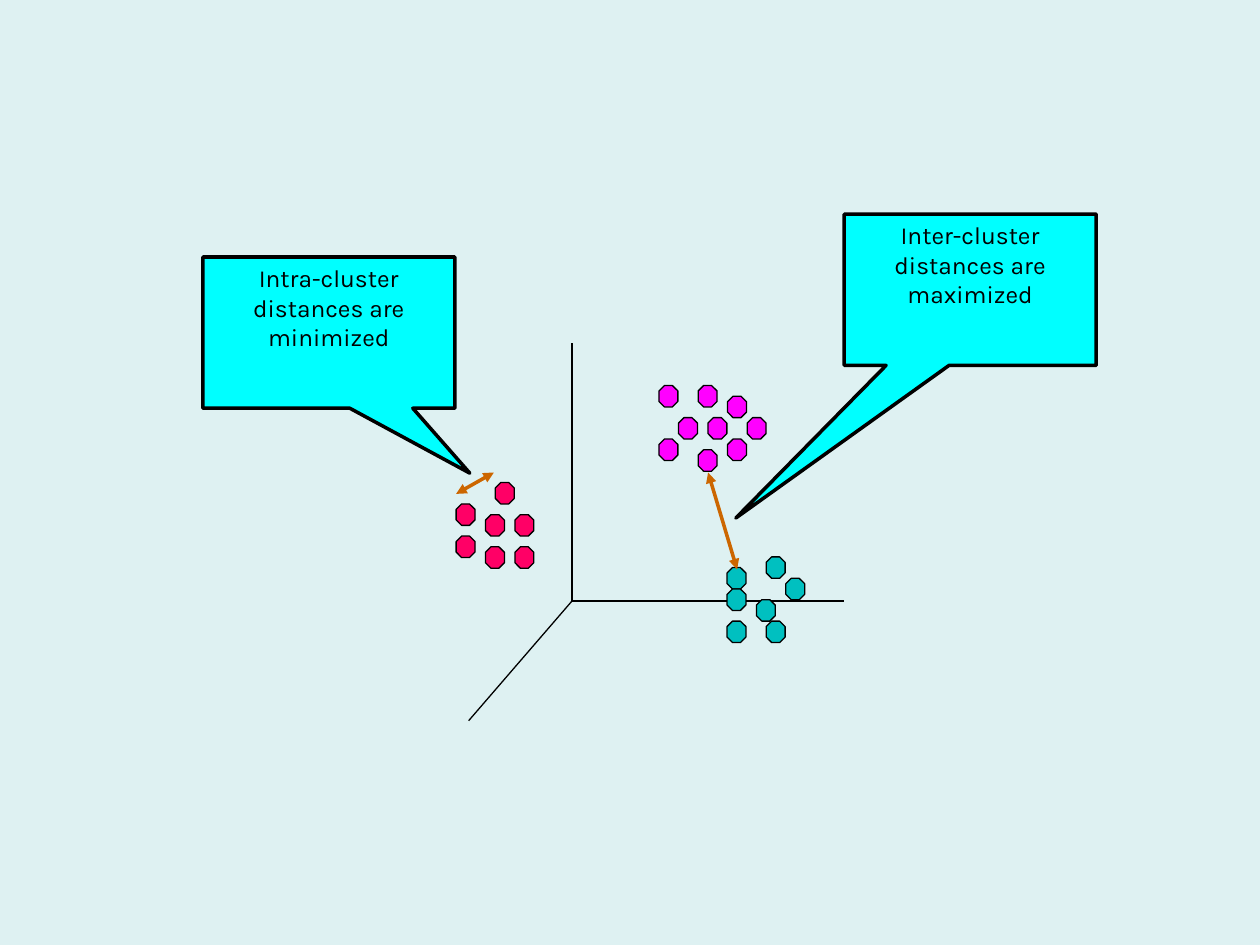
from dataclasses import dataclass
from typing import NamedTuple

from lxml.etree import SubElement
from pptx import Presentation
from pptx.dml.color import RGBColor
from pptx.enum.shapes import MSO_CONNECTOR, MSO_SHAPE
from pptx.enum.text import MSO_ANCHOR, PP_ALIGN
from pptx.oxml.ns import qn
from pptx.util import Inches, Pt


@dataclass(frozen=True)
class Theme:
    background: str = "DEF1F2"
    ink: str = "000000"
    arrow: str = "CC6600"
    callout: str = "00FFFF"
    upper_cluster: str = "FF00FF"
    left_cluster: str = "FF0066"
    lower_cluster: str = "00C0C0"
    font: str = "Karla"
    text_size: float = 14
    thin: float = 0.75
    thick: float = 2


class Box(NamedTuple):
    left: float
    top: float
    width: float
    height: float


THEME = Theme()
MARKER_WIDTH, MARKER_HEIGHT = 0.15, 0.17
COLUMN_STEP, ROW_STEP = 0.7 / 9, MARKER_HEIGHT / 2

UPPER_CELLS = [(2, 3), (5, 3), (4, 0), (4, 6), (9, 3), (7, 1), (0, 0), (7, 5), (0, 5)]
LEFT_CELLS = [(0, 2), (3, 3), (3, 6), (6, 3), (4, 0), (6, 6), (0, 5)]
LOWER_CELLS = [(0, 1), (6, 2), (3, 4), (0, 6), (4, 6), (0, 3), (4, 0)]


def color(value):
    return RGBColor.from_string(value)


def add_line(shapes, start, end, line_color, width):
    points = [Inches(value) for value in (*start, *end)]
    line = shapes.add_connector(MSO_CONNECTOR.STRAIGHT, *points)
    line.line.color.rgb = color(line_color)
    line.line.width = Pt(width)
    SubElement(line._element.spPr, qn("a:effectLst"))
    return line


def add_distance_arrow(shapes, start, end):
    arrow = add_line(shapes, start, end, THEME.arrow, THEME.thick)
    outline = arrow.line._get_or_add_ln()
    for end_name in ("a:headEnd", "a:tailEnd"):
        SubElement(outline, qn(end_name), type="triangle")


def add_filled_shape(shapes, kind, box, fill, line_width):
    shape = shapes.add_shape(kind, *[Inches(value) for value in box])
    shape.shadow.inherit = False
    shape.fill.solid()
    shape.fill.fore_color.rgb = color(fill)
    shape.line.color.rgb = color(THEME.ink)
    shape.line.width = Pt(line_width)
    return shape


def add_axes(shapes, box):
    origin = (box.left + 0.82, box.top + 2.05)
    ends = [
        (origin[0], box.top),
        (box.left + box.width, origin[1]),
        (box.left, box.top + box.height),
    ]
    for end in ends:
        add_line(shapes, origin, end, THEME.ink, THEME.thin)


def add_cluster(shapes, left, top, cells, fill):
    for column, row in cells:
        box = Box(left + column * COLUMN_STEP, top + row * ROW_STEP,
                  MARKER_WIDTH, MARKER_HEIGHT)
        marker = add_filled_shape(shapes, MSO_SHAPE.OCTAGON, box, fill, THEME.thin)
        marker.adjustments[0] = 0.29


def add_callout(shapes, box, text, pointer):
    callout = add_filled_shape(
        shapes, MSO_SHAPE.RECTANGULAR_CALLOUT, box, THEME.callout, THEME.thick)
    for index, offset in enumerate(pointer):
        callout.adjustments[index] = offset
    frame = callout.text_frame
    frame.word_wrap = True
    frame.vertical_anchor = MSO_ANCHOR.TOP
    frame.text = text
    para = frame.paragraphs[0]
    para.alignment = PP_ALIGN.CENTER
    span = para.runs[0]
    span.font.name = THEME.font
    span.font.size = Pt(THEME.text_size)
    span.font.color.rgb = color(THEME.ink)


def add_cluster_diagram(page):
    shapes = page.shapes.add_group_shape().shapes
    add_axes(shapes, Box(3.72, 2.72, 2.98, 3))
    add_cluster(shapes, 5.23, 3.06, UPPER_CELLS, THEME.upper_cluster)
    add_cluster(shapes, 3.62, 3.83, LEFT_CELLS, THEME.left_cluster)
    add_cluster(shapes, 5.77, 4.42, LOWER_CELLS, THEME.lower_cluster)
    add_distance_arrow(shapes, (5.85, 4.52), (5.62, 3.75))
    add_callout(shapes, Box(6.7, 1.7, 2, 1.2),
                "Inter-cluster distances are maximized", (-0.93, 1.51))
    add_distance_arrow(shapes, (3.62, 3.92), (3.92, 3.75))
    add_callout(shapes, Box(1.61, 2.04, 2, 1.2),
                "Intra-cluster distances are minimized", (0.56, 0.93))


def main():
    deck = Presentation()
    deck.slide_width, deck.slide_height = Inches(10), Inches(7.5)
    page = deck.slides.add_slide(deck.slide_layouts.get_by_name("Blank"))
    page.background.fill.solid()
    page.background.fill.fore_color.rgb = color(THEME.background)
    add_cluster_diagram(page)
    deck.save("out.pptx")


if __name__ == "__main__":
    main()
